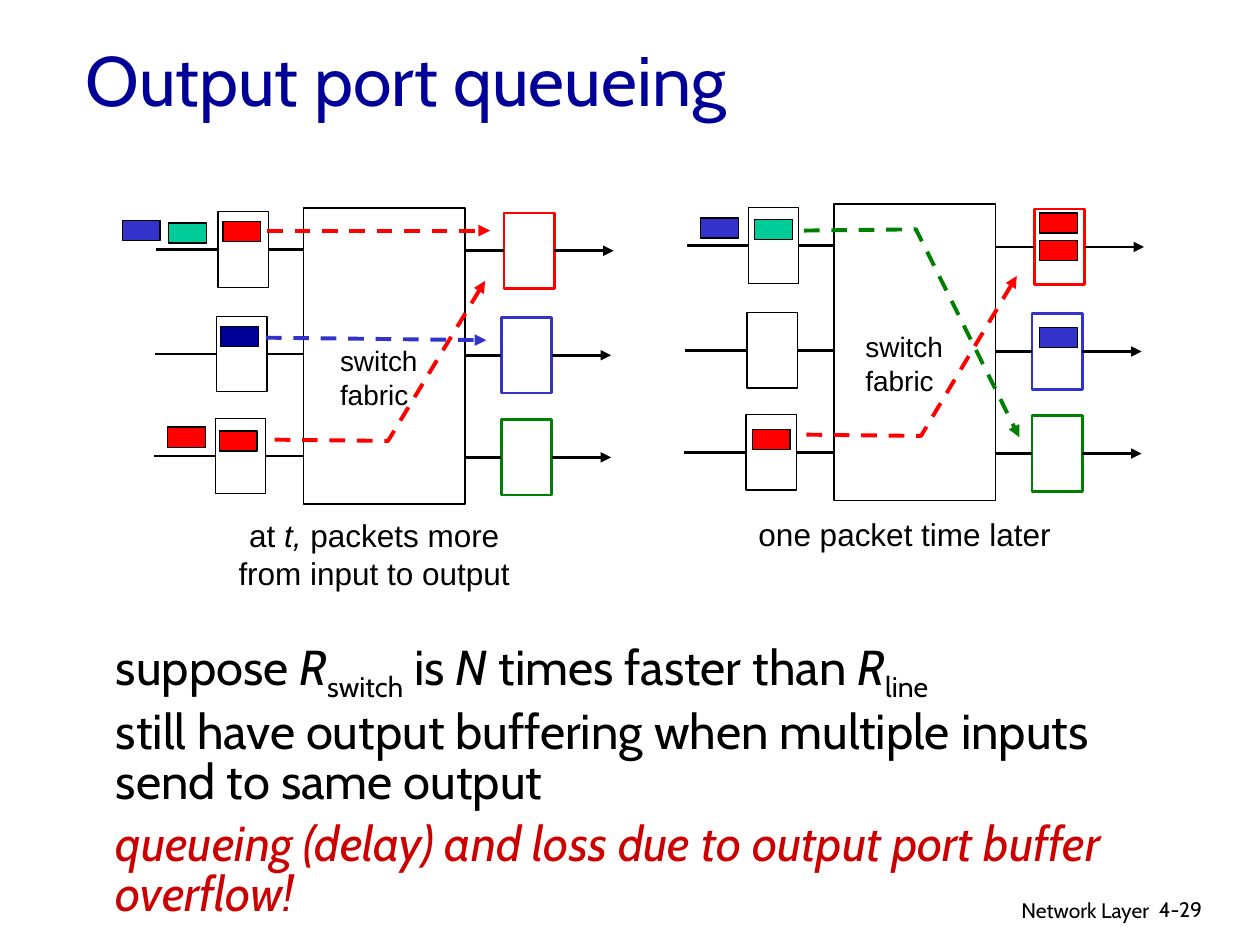
from pptx import Presentation
from pptx.dml.color import RGBColor
from pptx.enum.dml import MSO_LINE
from pptx.enum.shapes import MSO_CONNECTOR, MSO_SHAPE
from pptx.enum.text import MSO_ANCHOR, MSO_AUTO_SIZE, PP_ALIGN
from pptx.oxml.ns import qn
from pptx.util import Inches, Pt
from lxml.etree import SubElement

BLACK, WHITE, RED, BLUE = "000000", "FFFFFF", "FF0000", "3333CC"
NAVY, TEAL, GREEN, CRIMSON = "000099", "00CC99", "008000", "CC0000"
PLAIN, ITALIC, SUBSCRIPT = "plain", "italic", "subscript"

PORT_W, PORT_H = 0.4, 0.6
PACKET_W, PACKET_H = 0.3, 0.16
FABRIC = (2.41, 1.65, 1.28, 2.35)
INPUT_PORTS = [(1.73, 1.68), (1.72, 2.51), (1.71, 3.32)]
OUTPUT_PORTS = [(4, 1.69, RED), (3.98, 2.52, BLUE), (3.98, 3.33, GREEN)]
LATER_DX, LATER_DY = 4.21, -0.03
LEFT, RIGHT = 1, 3


def rgb(color):
    return RGBColor.from_string(color)


def style_font(paragraph, font_name, size, color):
    font = paragraph.font
    font.name, font.size = font_name, Pt(size)
    font.color.rgb = rgb(color)


def add_runs(paragraph, pieces):
    for text, style in pieces:
        run = paragraph.add_run()
        run.text = text
        if style == ITALIC:
            run.font.italic = True
        elif style == SUBSCRIPT:
            run._r.get_or_add_rPr().set("baseline", "-25000")


def add_text(slide, position, lines, size, font_name="Arial", align=PP_ALIGN.LEFT):
    frame = slide.shapes.add_textbox(*map(Inches, position)).text_frame
    frame.word_wrap = True
    for index, pieces in enumerate(lines):
        paragraph = frame.add_paragraph() if index else frame.paragraphs[0]
        paragraph.alignment = align
        style_font(paragraph, font_name, size, BLACK)
        add_runs(paragraph, pieces)


def add_box(slide, x, y, width, height, fill=WHITE, line=BLACK, weight=0.75):
    box = slide.shapes.add_shape(
        MSO_SHAPE.RECTANGLE, *map(Inches, (x, y, width, height)))
    box.shadow.inherit = False
    box.fill.solid()
    box.fill.fore_color.rgb = rgb(fill)
    box.line.color.rgb = rgb(line)
    box.line.width = Pt(weight)
    return box


def style_line(shape, color, weight, dashed, arrow):
    shape.line.color.rgb = rgb(color)
    shape.line.width = Pt(weight)
    if dashed:
        shape.line.dash_style = MSO_LINE.DASH
    if arrow:
        outline = shape.element.spPr.find(qn("a:ln"))
        SubElement(outline, qn("a:tailEnd"), type="triangle")


def add_line(slide, start, end, color=BLACK, weight=1.5, dashed=False, arrow=False):
    line = slide.shapes.add_connector(
        MSO_CONNECTOR.STRAIGHT, *map(Inches, (*start, *end)))
    style_line(line, color, weight, dashed, arrow)
    SubElement(line.element.spPr, qn("a:effectLst"))
    return line


def add_bent_route(slide, points, color):
    """Draw a dashed packet route with corners, ending in an arrowhead."""
    start, *rest = [(Inches(x), Inches(y)) for x, y in points]
    builder = slide.shapes.build_freeform(*start)
    builder.add_line_segments(rest, close=False)
    route = builder.convert_to_shape()
    route.shadow.inherit = False
    route.fill.background()
    style_line(route, color, 2.25, True, True)


def add_switch(slide, dx=0, dy=0):
    """Draw the fabric with three input and three output ports and their links."""
    x, y, width, height = FABRIC
    fabric_left, fabric_right = x + dx, x + dx + width
    add_box(slide, fabric_left, y + dy, width, height)
    for source, target in zip(INPUT_PORTS, OUTPUT_PORTS):
        in_x, in_y = source[0] + dx, source[1] + dy
        out_x, out_y, color = target[0] + dx, target[1] + dy, target[2]
        in_port = add_box(slide, in_x, in_y, PORT_W, PORT_H)
        out_port = add_box(slide, out_x, out_y, PORT_W, PORT_H, line=color, weight=1.5)
        in_mid, out_mid = in_y + PORT_H / 2, out_y + PORT_H / 2

        arriving = add_line(slide, (in_x - 0.49, in_mid), (in_x, in_mid))
        arriving.end_connect(in_port, LEFT)
        entering = add_line(slide, (in_x + PORT_W, in_mid), (fabric_left, in_mid))
        entering.begin_connect(in_port, RIGHT)
        crossing = add_line(slide, (fabric_right, out_mid), (out_x, out_mid))
        crossing.end_connect(out_port, LEFT)
        leaving = add_line(slide, (out_x + PORT_W, out_mid),
                           (out_x + PORT_W + 0.47, out_mid), arrow=True)
        leaving.begin_connect(out_port, RIGHT)


def add_packets(slide, packets):
    for x, y, color in packets:
        add_box(slide, x, y, PACKET_W, PACKET_H, fill=color)


def add_fabric_label(slide, x, y):
    add_text(slide, (x, y, 0.95, 0.64),
             [[("switch", PLAIN)], [("fabric", PLAIN)]], 16)


def add_caption(slide, x, y, height, lines):
    add_text(slide, (x, y, 2.68, height), lines, 18, align=PP_ALIGN.CENTER)


def place(placeholder, *position):
    (placeholder.left, placeholder.top,
     placeholder.width, placeholder.height) = map(Inches, position)
    placeholder.text_frame.auto_size = MSO_AUTO_SIZE.NONE


def fill_title(title):
    place(title, 0.58, 0.22, 8.5, 0.8)
    title.text_frame.text = "Output port queueing"
    title.text_frame.vertical_anchor = MSO_ANCHOR.MIDDLE
    heading = title.text_frame.paragraphs[0]
    heading.alignment = PP_ALIGN.LEFT
    style_font(heading, "Cabin", 40, NAVY)


def fill_body(body):
    place(body, 0.82, 5.03, 8.5, 1.3)
    points = [
        ([("suppose ", PLAIN), ("R", ITALIC), ("switch", SUBSCRIPT),
          (" is ", PLAIN), ("N", ITALIC), (" times faster than ", PLAIN),
          ("R", ITALIC), ("line", SUBSCRIPT)], BLACK),
        ([("still have output buffering when multiple inputs "
           "send to same output", PLAIN)], BLACK),
        ([("queueing (delay) and loss due to output port buffer overflow!",
           ITALIC)], CRIMSON),
    ]
    frame = body.text_frame
    for index, (pieces, color) in enumerate(points):
        point = frame.add_paragraph() if index else frame.paragraphs[0]
        properties = point._p.get_or_add_pPr()
        properties.set("marL", "0")
        properties.set("indent", "0")
        SubElement(properties, qn("a:buNone"))
        point.line_spacing = 0.85
        point.space_before = Pt(7 if index else 0)
        style_font(point, "Cabin", 28, color)
        add_runs(point, pieces)


def main():
    deck = Presentation()
    deck.slide_width, deck.slide_height = Inches(10), Inches(7.5)
    slide = deck.slides.add_slide(deck.slide_layouts[1])
    fill_title(slide.shapes.title)
    fill_body(slide.placeholders[1])
    add_text(slide, (6.05, 7.07, 3.17, 0.31), [[("Network Layer", PLAIN)]], 12,
             "Cabin", PP_ALIGN.RIGHT)
    add_text(slide, (9.1, 7.07, 0.74, 0.3), [[("4-29", PLAIN)]], 12, "Cabin")

    add_switch(slide)
    add_fabric_label(slide, 2.6, 2.68)
    add_packets(slide, [(0.97, 1.75, BLUE), (1.34, 1.77, TEAL), (1.77, 1.76, RED),
                        (1.75, 2.59, NAVY), (1.33, 3.39, RED), (1.74, 3.42, RED)])
    add_line(slide, (2.12, 1.83), (3.89, 1.83), RED, 2.25, True, True)
    add_line(slide, (2.11, 2.68), (3.86, 2.7), BLUE, 2.25, True, True)
    add_bent_route(slide, [(2.18, 3.49), (3.08, 3.5), (3.85, 2.23)], RED)
    add_caption(slide, 1.63, 4.05, 0.7, [
        [("at ", PLAIN), ("t,", ITALIC), (" packets more", PLAIN)],
        [("from input to output", PLAIN)]])

    add_switch(slide, LATER_DX, LATER_DY)
    add_fabric_label(slide, 6.77, 2.57)
    add_packets(slide, [(5.56, 1.73, BLUE), (5.99, 1.74, TEAL), (5.97, 3.41, RED),
                        (8.25, 1.69, RED), (8.25, 1.91, RED), (8.25, 2.6, BLUE)])
    add_bent_route(slide, [(6.4, 3.45), (7.31, 3.46), (8.07, 2.19)], RED)
    add_bent_route(slide, [(6.38, 1.83), (7.27, 1.82), (8.09, 3.47)], GREEN)
    add_caption(slide, 5.84, 4.04, 0.4, [[("one packet time later", PLAIN)]])
    deck.save("out.pptx")


if __name__ == "__main__":
    main()
